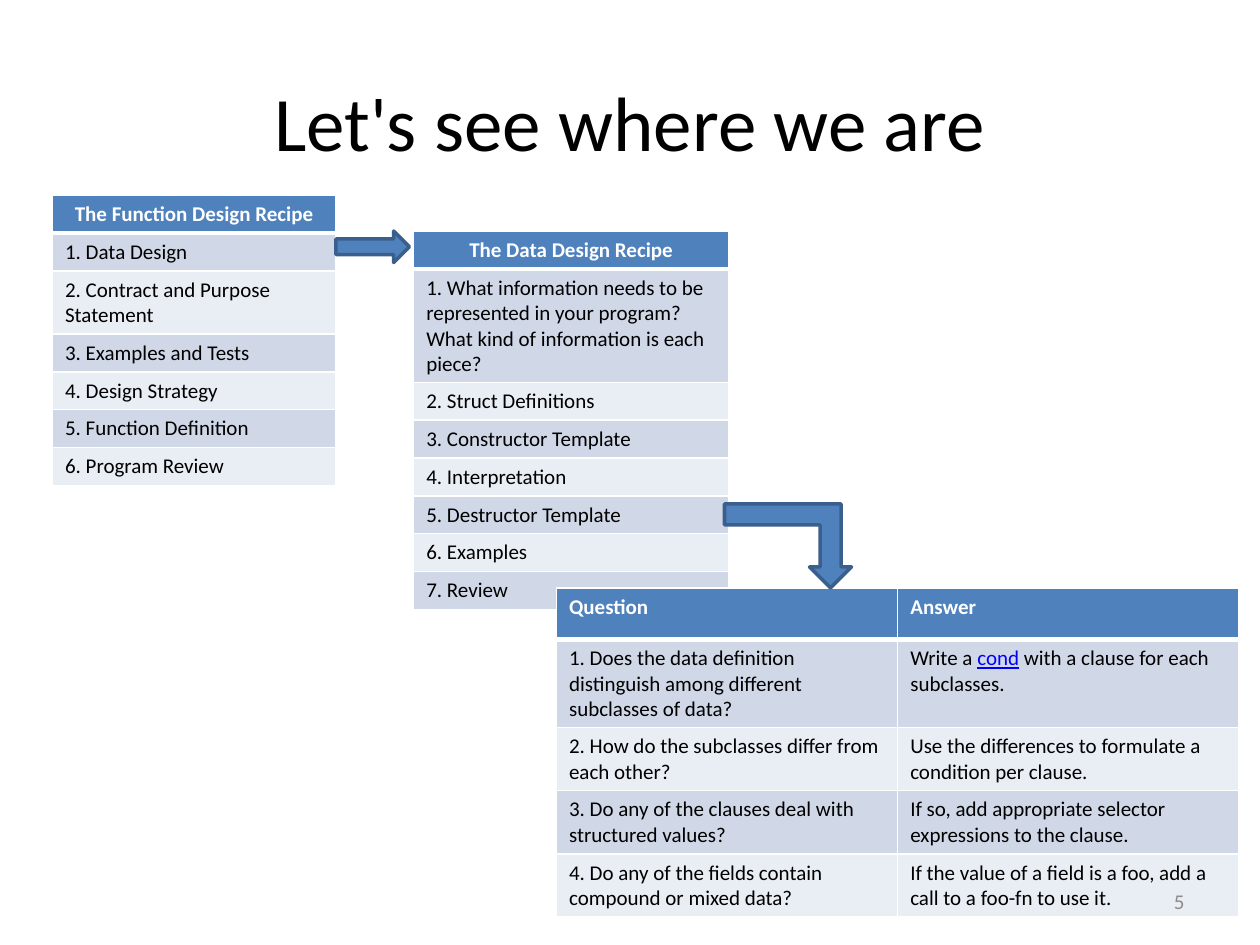
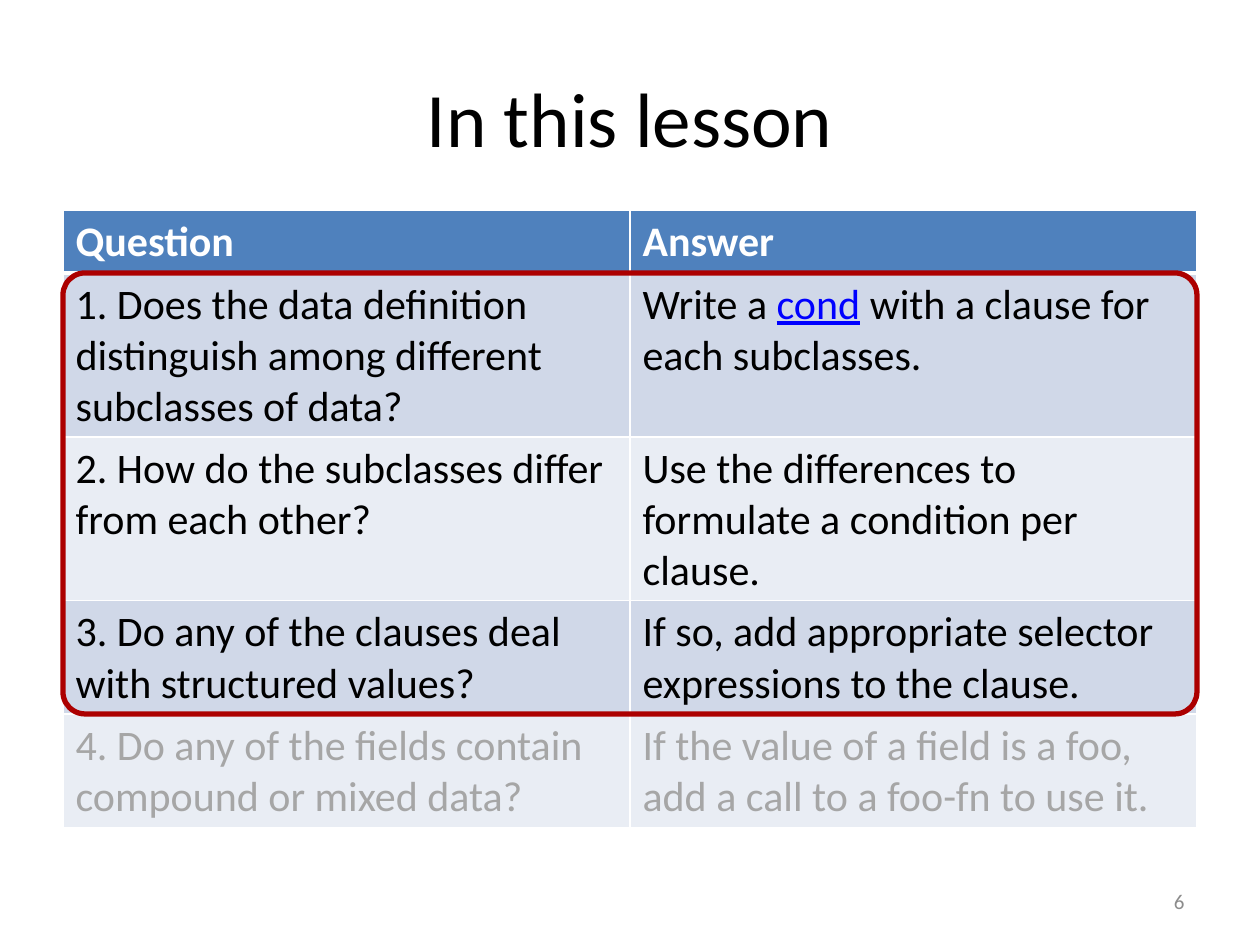
from dataclasses import dataclass

from lxml import etree
from pptx import Presentation
from pptx import util as u
from pptx.dml.color import RGBColor
from pptx.enum import shapes, text
from pptx.oxml import ns


@dataclass(frozen=True)
class Theme:
    font: str = "Calibri"
    ink: str = "000000"
    paper: str = "FFFFFF"
    accent: str = "4F81BD"
    accent_edge: str = "3A5F8C"
    bands: tuple = ("D0D8E8", "E9EDF4")
    link: str = "0000FF"
    faded: str = "A6A6A6"
    number: str = "8C8C8C"
    highlight: str = "AC0000"
    title_size: int = 44
    large_size: int = 24
    small_size: int = 12
    rule: int = 1
    header_rule: int = 3


THEME = Theme()
COLUMNS, ROWS = 120, 90
WIDTH, HEIGHT = u.Inches(10), u.Inches(7.5)
LEFT, CENTER, RIGHT = text.PP_ALIGN.LEFT, text.PP_ALIGN.CENTER, text.PP_ALIGN.RIGHT
LINK_WORD = "cond"

FUNCTION_RECIPE = [
    ["The Function Design Recipe"],
    ["1. Data Design"],
    ["2. Contract and Purpose Statement"],
    ["3. Examples and Tests"],
    ["4. Design Strategy"],
    ["5. Function Definition"],
    ["6. Program Review"],
]
DATA_RECIPE = [
    ["The Data Design Recipe"],
    ["1. What information needs to be represented in your program? "
     "What kind of information is each piece?"],
    ["2. Struct Definitions"],
    ["3. Constructor Template"],
    ["4. Interpretation"],
    ["5. Destructor Template"],
    ["6. Examples"],
    ["7. Review"],
]
TEMPLATE_QUESTIONS = [
    ["Question", "Answer"],
    ["1. Does the data definition distinguish among different subclasses of data?",
     "Write a cond with a clause for each subclasses."],
    ["2. How do the subclasses differ from each other?",
     "Use the differences to formulate a condition per clause."],
    ["3. Do any of the clauses deal with structured values?",
     "If so, add appropriate selector expressions to the clause."],
    ["4. Do any of the fields contain compound or mixed data?",
     "If the value of a field is a foo, add a call to a foo-fn to use it."],
]


def grid(column, row, columns, rows):
    return (int(WIDTH * column / COLUMNS), int(HEIGHT * row / ROWS),
            int(WIDTH * columns / COLUMNS), int(HEIGHT * rows / ROWS))


def write(frame, wording, size, color=THEME.ink, align=LEFT, bold=False):
    paragraph = frame.paragraphs[0]
    paragraph.alignment = align
    before, link, after = wording.partition(f" {LINK_WORD} ")
    pieces = [(wording, False)]
    if link:
        pieces = [(before + " ", False), (LINK_WORD, True), (" " + after, False)]
    for piece, linked in pieces:
        run = paragraph.add_run()
        run.text = piece
        run.font.name = THEME.font
        run.font.size = u.Pt(size)
        run.font.bold = bold
        run.font.underline = linked
        run.font.color.rgb = RGBColor.from_string(THEME.link if linked else color)


def add_label(slide, wording, area, **style):
    frame = slide.shapes.add_textbox(*grid(*area)).text_frame
    frame.word_wrap = True
    frame.vertical_anchor = text.MSO_ANCHOR.MIDDLE
    write(frame, wording, **style)


def add_borders(cell, top, bottom):
    properties = cell._tc.get_or_add_tcPr()
    for side, width in (("L", THEME.rule), ("R", THEME.rule), ("T", top), ("B", bottom)):
        line = etree.SubElement(properties, ns.qn(f"a:ln{side}"), w=str(u.Pt(width)))
        fill = etree.SubElement(line, ns.qn("a:solidFill"))
        etree.SubElement(fill, ns.qn("a:srgbClr"), val=THEME.paper)


def add_recipe(slide, entries, column, row, columns, row_height, size=THEME.small_size,
               header_align=LEFT, faded_rows=()):
    area = grid(column, row, columns, row_height * len(entries))
    table = slide.shapes.add_table(len(entries), len(entries[0]), *area).table
    for r, entry in enumerate(entries):
        header = r == 0
        background = THEME.accent if header else THEME.bands[(r - 1) % 2]
        color = THEME.paper if header else THEME.faded if r in faded_rows else THEME.ink
        for c, wording in enumerate(entry):
            cell = table.cell(r, c)
            add_borders(cell, top=THEME.header_rule if r == 1 else THEME.rule,
                        bottom=THEME.header_rule if header else THEME.rule)
            cell.fill.solid()
            cell.fill.fore_color.rgb = RGBColor.from_string(background)
            write(cell.text_frame, wording, size, color,
                  header_align if header else LEFT, bold=header)


def add_outline(slide, kind, area, edge, width, fill=None):
    shape = slide.shapes.add_shape(kind, *grid(*area))
    shape.shadow.inherit = False
    shape.line.color.rgb = RGBColor.from_string(edge)
    shape.line.width = u.Pt(width)
    if fill:
        shape.fill.solid()
        shape.fill.fore_color.rgb = RGBColor.from_string(fill)
    else:
        shape.fill.background()
    return shape


def add_arrow(slide, kind, area):
    return add_outline(slide, kind, area, THEME.accent_edge, 2, THEME.accent)


def start_slide(deck, title, title_row):
    slide = deck.slides.add_slide(deck.slide_layouts[6])
    add_label(slide, title, (6, title_row, 108, 15), size=THEME.title_size, align=CENTER)
    return slide


def add_number(slide, number):
    add_label(slide, str(number), (86, 83.4, 28, 4.8), size=THEME.small_size,
              color=THEME.number, align=RIGHT)


def build_overview(deck):
    slide = start_slide(deck, "Let's see where we are", 4)
    add_recipe(slide, FUNCTION_RECIPE, 5, 18.6, 27, 3.5, header_align=CENTER)
    add_recipe(slide, DATA_RECIPE, 39.4, 22, 30, 3, header_align=CENTER)
    add_recipe(slide, TEMPLATE_QUESTIONS, 53, 56, 65, 4.9)
    add_arrow(slide, shapes.MSO_SHAPE.RIGHT_ARROW, (32, 22, 7, 3))
    turn = add_arrow(slide, shapes.MSO_SHAPE.BENT_UP_ARROW, (69, 48, 12.1, 8))
    turn._element.spPr.xfrm.set("flipV", "1")
    add_number(slide, 5)


def build_lesson(deck):
    slide = start_slide(deck, "In this lesson", 3.6)
    add_recipe(slide, TEMPLATE_QUESTIONS, 6, 20, 108, 4.9, size=THEME.large_size,
               faded_rows=(4,))
    focus = add_outline(slide, shapes.MSO_SHAPE.ROUNDED_RECTANGLE, (6, 26, 108, 42),
                        THEME.highlight, 3)
    focus.adjustments[0] = 0.05
    add_number(slide, 6)


def main():
    deck = Presentation()
    deck.slide_width, deck.slide_height = WIDTH, HEIGHT
    build_overview(deck)
    build_lesson(deck)
    deck.save("out.pptx")


if __name__ == "__main__":
    main()
